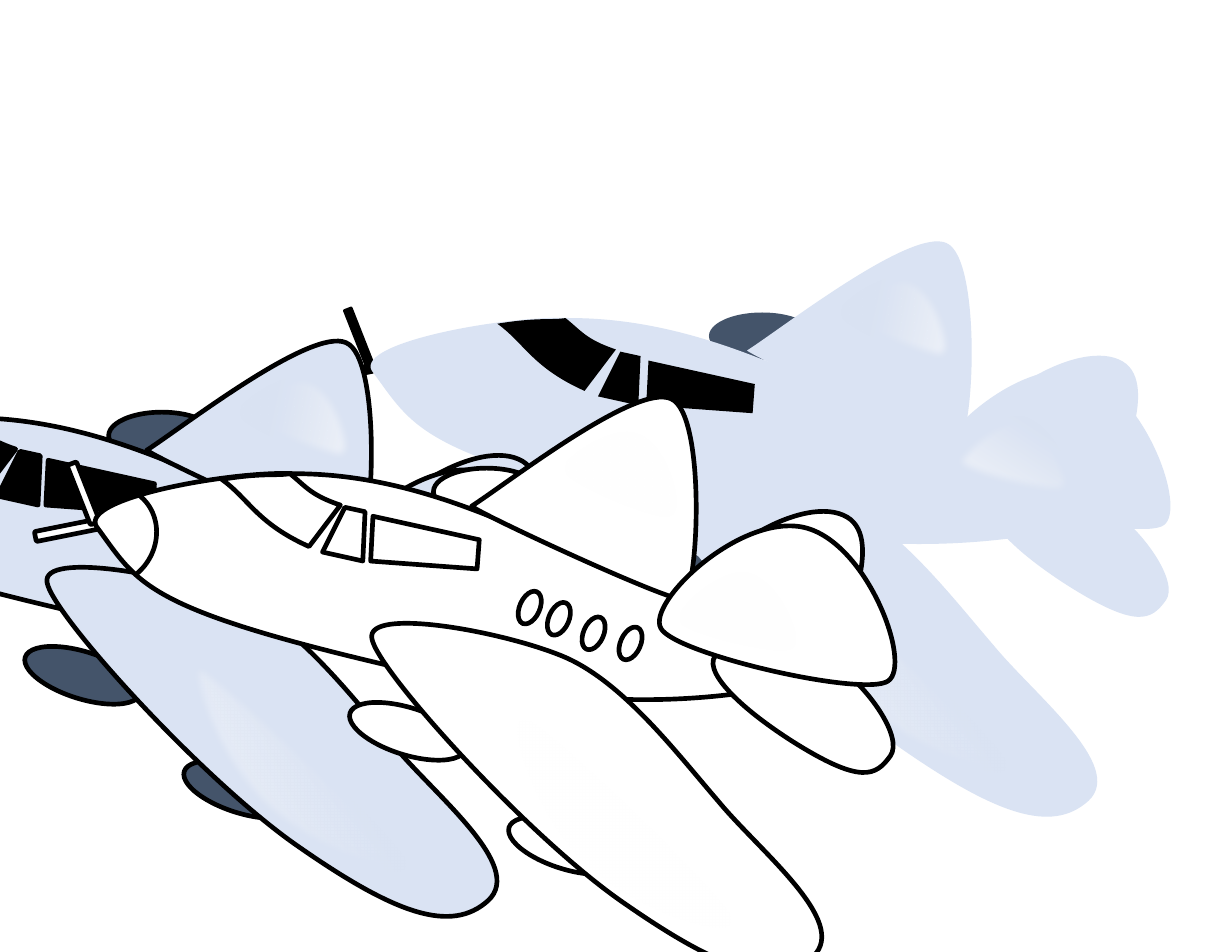
from dataclasses import dataclass
from math import cos, radians, sin

from lxml import etree
from pptx import Presentation
from pptx import util as u
from pptx.dml import color
from pptx.enum import shapes
from pptx.oxml import ns

PX = 9144
OVAL = shapes.MSO_SHAPE.OVAL
BLADE = shapes.MSO_SHAPE.ROUNDED_RECTANGLE


@dataclass
class Theme:
    body: str
    engine: str
    glass: str
    blade: str
    sheen: str
    line: str = "000000"
    line_width: int = 3
    soft_edge: int = 5


SKY = Theme("DAE3F3", "44546A", "000000", "000000", "F6F8FC", line="")
OUTLINED_SKY = Theme("DAE3F3", "44546A", "000000", "000000", "F6F8FC")
WHITE = Theme("FFFFFF", "FFFFFF", "FFFFFF", "FFFFFF", "FFFFFF")

PROPELLER = [
    ("blade", (77, 130, 57, 9), 348.7, BLADE),
    ("blade", (92, 97, 57, 9), 68.5, BLADE),
]
WINDOWS = [("body", (left, top, 18, 31), 24, OVAL)
           for left, top in ((600, 220), (567, 211), (536, 198), (510, 188))]
AIRFRAME = [
    ("engine", (433, 79, 95, 42), 0, OVAL),
    ("body", (125, 115, 678, 159), 15.6, [
        (786, 270), (835, 271, 693, 210, 614, 179), (534, 148, 433, 84, 309, 84),
        (257, 81, 117, 105, 132, 131), (170, 182, 171, 204, 405, 258),
        (640, 313, 736, 269, 786, 270)]),
    ("body", (669, 118, 147, 130), 0, [
        (788, 246), (798, 224, 839, 138, 799, 121), (758, 103, 669, 161, 669, 199),
        (669, 203, 767, 258, 788, 246)]),
    ("body", (678, 246, 179, 78), 34.9, [
        (841, 336), (853, 319, 820, 274, 796, 258), (773, 242, 709, 224, 697, 241),
        (664, 246, 690, 282, 752, 322), (815, 362, 828, 354, 841, 336)]),
    ("body", (492, 2, 207, 165), 25.2, [
        (655, 196), (670, 194, 677, 30, 645, 17), (614, 3, 501, 91, 467, 113),
        (479, 122, 641, 197, 655, 196)]),
    ("engine", (356, 293, 108, 42), 17.5, OVAL),
    ("engine", (498, 395, 108, 42), 17.5, OVAL),
    ("body", (341, 291, 485, 140), 42.9, [
        (772, 515), (805, 484, 724, 421, 687, 376), (649, 332, 600, 267, 546, 246),
        (491, 224, 373, 203, 378, 231), (382, 259, 519, 410, 604, 468),
        (689, 527, 739, 545, 772, 515)]),
    *WINDOWS,
    ("glass", (378, 125, 96, 40), 4.3, [
        (474, 143), (379, 122), (377, 162), (472, 169), (474, 143)]),
    ("glass", (338, 115, 36, 43), 12.2, [
        (370, 162), (334, 154), (354, 114), (372, 118), (370, 162)]),
    ("glass", (244, 84, 106, 65), 0, [
        (350, 112), (323, 103, 319, 95, 305, 84), (292, 86, 281, 83, 244, 89),
        (268, 106, 275, 128, 322, 149), (350, 112)]),
]
NOSE = ("nose", (96, 97, 92, 85), 128.1, shapes.MSO_SHAPE.ARC)
NEAR_TAIL = [
    ("body", (684, 88, 131, 215), 103, [
        (764, 132), (707, 119, 623, 199, 636, 222), (648, 245, 818, 284, 839, 269),
        (861, 254, 820, 145, 764, 132)]),
    ("sheen", (675, 148, 67, 110), 103, [
        (716, 171), (687, 164, 644, 205, 650, 217), (657, 229, 744, 249, 755, 241),
        (766, 233, 745, 178, 716, 171)]),
    ("sheen", (557, 275, 67, 268), 134.3, [
        (567, 433), (516, 383, 493, 292, 516, 300), (538, 308, 694, 459, 702, 481),
        (711, 504, 619, 483, 567, 433)]),
    ("fin sheen", (573, 24, 67, 110), 292.3, [
        (619, 48), (646, 59, 658, 117, 646, 123), (634, 129, 551, 95, 547, 82),
        (542, 70, 592, 36, 619, 48)]),
]


def path_points(segment, box, turn):
    """Yield a segment's points in the frame of its unturned box."""
    left, top, width, height = box
    angle = radians(-turn)
    for x, y in zip(segment[::2], segment[1::2]):
        dx, dy = x - left - width / 2, y - top - height / 2
        yield (width / 2 + dx * cos(angle) - dy * sin(angle),
               height / 2 + dx * sin(angle) + dy * cos(angle))


def add_outline(group, box, turn, segments):
    """Add a closed outline of straight and curved segments."""
    builder = group.shapes.build_freeform(*segments[0], scale=PX)
    builder.add_line_segments([segment[-2:] for segment in segments[1:]])
    outline = builder.convert_to_shape()
    path = outline._element.find(".//" + ns.qn("a:path"))
    path.clear()
    path.set("w", str(box[2] * PX))
    path.set("h", str(box[3] * PX))
    for index, segment in enumerate(segments):
        kind = "moveTo" if index == 0 else "lnTo" if len(segment) == 2 else "cubicBezTo"
        step = etree.SubElement(path, ns.qn("a:" + kind))
        for x, y in path_points(segment, box, turn):
            etree.SubElement(step, ns.qn("a:pt"), x=str(round(x * PX)), y=str(round(y * PX)))
    etree.SubElement(path, ns.qn("a:close"))
    return outline


def paint_sheen(part, theme, angle):
    """Fill a highlight and soften its edge."""
    if theme.sheen == theme.body:
        part.fill.solid()
        part.fill.fore_color.rgb = color.RGBColor.from_string(theme.body)
    else:
        part.fill.gradient()
        part.fill.gradient_angle = 360 - angle
        stops = zip(part.fill.gradient_stops, (0.32, 1), (theme.body, theme.sheen))
        for stop, position, tone in stops:
            stop.position = position
            stop.color.rgb = color.RGBColor.from_string(tone)
    effects = part._element.spPr.find(ns.qn("a:effectLst"))
    etree.SubElement(effects, ns.qn("a:softEdge"), rad=str(u.Pt(theme.soft_edge)))


def paint(part, role, theme):
    """Apply the theme's fill and line for the role of a part."""
    part.shadow.inherit = False
    if role.endswith("sheen"):
        paint_sheen(part, theme, 80 if role.startswith("fin") else 20)
    elif role == "nose":
        part.fill.background()
        part.adjustments[0], part.adjustments[1] = 153.011, 0
        part._element.spPr.xfrm.set("flipH", "1")
    else:
        part.fill.solid()
        part.fill.fore_color.rgb = color.RGBColor.from_string(getattr(theme, role))
    if theme.line and not role.endswith("sheen"):
        part.line.color.rgb = color.RGBColor.from_string(theme.line)
        part.line.width = u.Pt(theme.line_width)
    else:
        part.line.fill.background()


def draw_plane(slide, left, top, theme, parts):
    """Draw one plane from its parts, offset to the given corner."""
    plane = slide.shapes.add_group_shape()
    for role, (x, y, width, height), turn, form in parts:
        box = (x + left, y + top, width, height)
        if isinstance(form, list):
            moved = [tuple(value + (top if index % 2 else left)
                           for index, value in enumerate(segment)) for segment in form]
            part = add_outline(plane, box, turn, moved)
            part.left, part.top, part.width, part.height = (value * PX for value in box)
        else:
            part = plane.shapes.add_shape(form, *(value * PX for value in box))
        part.rotation = turn
        paint(part, role, theme)


def main():
    """Build the slide with three planes and save it."""
    deck = Presentation()
    deck.slide_width, deck.slide_height = 1100 * PX, 850 * PX
    slide = deck.slides.add_slide(deck.slide_layouts[6])
    draw_plane(slide, 200, 200, SKY, PROPELLER + AIRFRAME + NEAR_TAIL)
    draw_plane(slide, -336, 289, OUTLINED_SKY, AIRFRAME + NEAR_TAIL)
    draw_plane(slide, -46, 339, WHITE, PROPELLER + AIRFRAME + [NOSE] + NEAR_TAIL)
    deck.save("out.pptx")


if __name__ == "__main__":
    main()
